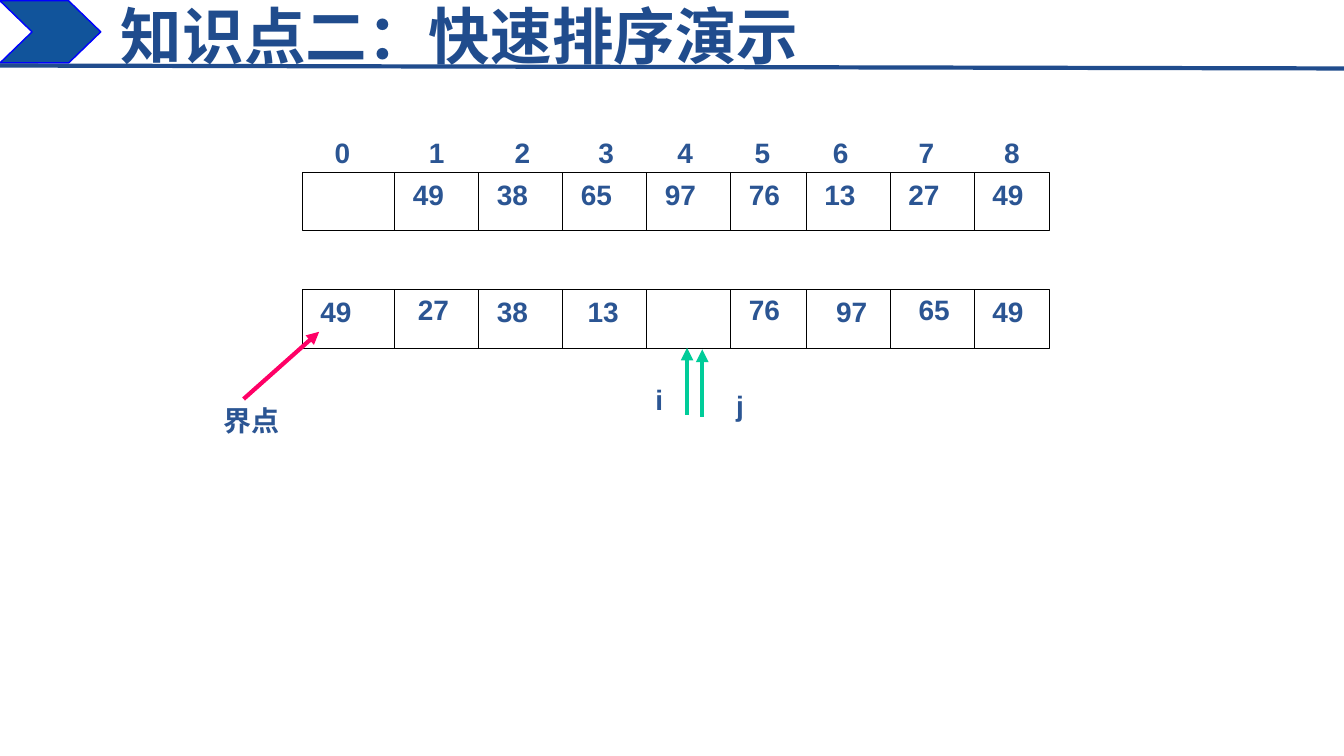
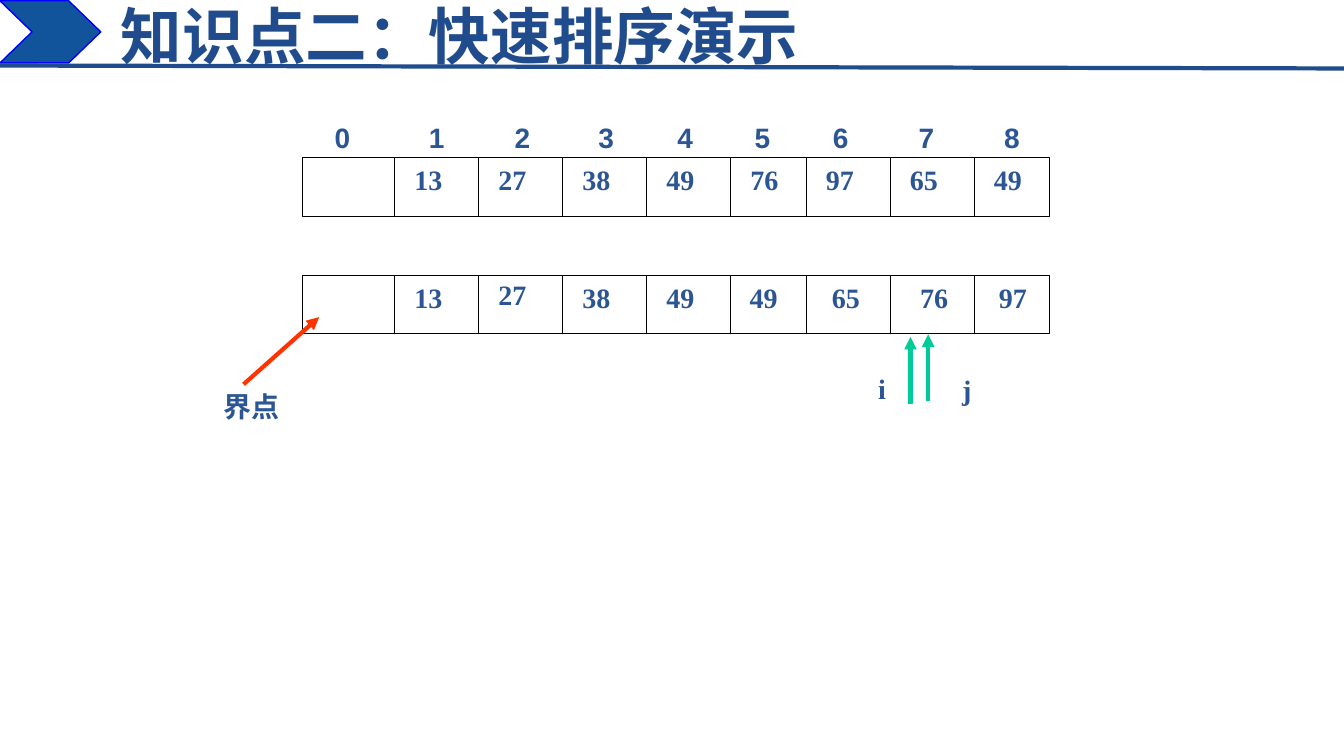
"""Build two slides that show the steps of a quicksort on an array."""
from lxml.etree import SubElement
from pptx import Presentation
from pptx.dml.color import RGBColor
from pptx.enum.shapes import MSO_CONNECTOR, MSO_SHAPE
from pptx.enum.text import MSO_ANCHOR, MSO_AUTO_SIZE, PP_ALIGN
from pptx.oxml.ns import qn
from pptx.util import Inches, Pt

TITLE_BLUE = RGBColor(0x20, 0x4C, 0x8D)
TEXT_BLUE = RGBColor(0x2B, 0x55, 0x93)
CHEVRON_BLUE = RGBColor(0x11, 0x54, 0x9B)
OUTLINE_BLUE = RGBColor(0x00, 0x00, 0xFF)
POINTER_GREEN = RGBColor(0x00, 0xCC, 0x99)
PIVOT_PINK = RGBColor(0xFF, 0x00, 0x66)
PIVOT_RED = RGBColor(0xFF, 0x33, 0x00)
BLACK = RGBColor(0x00, 0x00, 0x00)
WHITE = RGBColor(0xFF, 0xFF, 0xFF)

SANS, SERIF, CHINESE = "Arial", "Times New Roman", "Noto Sans CJK SC"
COLUMNS, ROWS = 160, 90
CELL_EDGES = [36, 47, 57, 67, 77, 87, 96, 106, 116, 125]
INDEX_CENTRES = [3.6, 14.8, 25, 35, 44.4, 53.6, 62.9, 73.1, 83.3]
CELL_HEIGHT, TEXT_HEIGHT = 7, 5.25
ARRAY_GAP = 14


def grid(count):
    """Turn grid units of a twelfth of an inch into a length."""
    return Inches(count / 12)


class ArrayDeck:
    """Holds the shared style and the current slide."""

    def __init__(self):
        """Start a widescreen presentation and place the layout title."""
        self.presentation = Presentation()
        self.presentation.slide_width = grid(COLUMNS)
        self.presentation.slide_height = grid(ROWS)
        self.layout = self.presentation.slide_layouts[5]
        self.place(self.layout.placeholders[0], 13.2, 0.7, 142.3, 6.85)
        self.slide = None

    def place(self, shape, left, top, width, height):
        """Move and size a shape in grid units."""
        shape.left, shape.top = grid(left), grid(top)
        shape.width, shape.height = grid(width), grid(height)

    def add_text(self, paragraph, text, font_name, size, color):
        """Add one bold run to a paragraph."""
        run = paragraph.add_run()
        run.text = text
        run.font.name = font_name
        run.font.size = Pt(size)
        run.font.bold = True
        run.font.color.rgb = color
        SubElement(run._r.get_or_add_rPr(), qn("a:ea"), typeface=CHINESE)

    def add_slide(self, title):
        """Add a slide with the chevron, the rule and the title."""
        self.slide = self.presentation.slides.add_slide(self.layout)
        chevron = self.box(MSO_SHAPE.CHEVRON, 0, 0.1, 12, 7.4,
                           CHEVRON_BLUE, OUTLINE_BLUE, 1)
        chevron.adjustments[0] = 0.516
        self.line(0, 7.8, COLUMNS, 8.15, TITLE_BLUE, 3)
        frame = self.slide.shapes.title.text_frame
        frame.auto_size = MSO_AUTO_SIZE.NONE
        frame.vertical_anchor = MSO_ANCHOR.MIDDLE
        paragraph = frame.paragraphs[0]
        paragraph.alignment = PP_ALIGN.LEFT
        self.add_text(paragraph, title, SERIF, 44, TITLE_BLUE)

    def box(self, kind, left, top, width, height, fill, outline, weight):
        """Add a filled and outlined preset shape."""
        shape = self.slide.shapes.add_shape(
            kind, grid(left), grid(top), grid(width), grid(height))
        shape.shadow.inherit = False
        shape.fill.solid()
        shape.fill.fore_color.rgb = fill
        shape.line.color.rgb = outline
        shape.line.width = Pt(weight)
        return shape

    def line(self, from_x, from_y, to_x, to_y, color, weight, arrow=False):
        """Add a straight line, with an arrowhead at its end if asked."""
        connector = self.slide.shapes.add_connector(
            MSO_CONNECTOR.STRAIGHT,
            grid(from_x), grid(from_y), grid(to_x), grid(to_y))
        connector.line.color.rgb = color
        connector.line.width = Pt(weight)
        properties = connector._element.spPr
        if arrow:
            SubElement(properties.find(qn("a:ln")), qn("a:tailEnd"),
                       type="triangle")
        SubElement(properties, qn("a:effectLst"))

    def label(self, text, left, top, width, font_name, tabs=()):
        """Add a one-line label, centred or set on centred tab stops."""
        shape = self.slide.shapes.add_textbox(
            grid(left), grid(top), grid(width), grid(TEXT_HEIGHT))
        frame = shape.text_frame
        frame.word_wrap = True
        frame.auto_size = MSO_AUTO_SIZE.SHAPE_TO_FIT_TEXT
        paragraph = frame.paragraphs[0]
        paragraph.alignment = PP_ALIGN.LEFT if tabs else PP_ALIGN.CENTER
        if tabs:
            properties = paragraph._p.get_or_add_pPr()
            stops = SubElement(properties, qn("a:tabLst"))
            for position in tabs:
                SubElement(stops, qn("a:tab"), pos=str(int(grid(position))),
                           algn="ctr")
        self.add_text(paragraph, text, font_name, 20, TEXT_BLUE)

    def indexes(self, top):
        """Number the cells above an array."""
        text = "".join(f"\t{index}" for index in range(len(INDEX_CENTRES)))
        self.label(text, CELL_EDGES[0], top - 5,
                   CELL_EDGES[-1] - CELL_EDGES[0], SANS, INDEX_CENTRES)

    def array(self, top, values, font_name, nudges):
        """Draw an array as a divided bar with a value in each filled cell."""
        first, *dividers, last = CELL_EDGES
        self.box(MSO_SHAPE.RECTANGLE, first, top, last - first, CELL_HEIGHT,
                 WHITE, BLACK, 0.75)
        for edge in dividers:
            self.line(edge, top, edge, top + CELL_HEIGHT, BLACK, 0.75)
        for index, value in enumerate(values):
            if value:
                across, down = nudges.get(index, (0, 0))
                self.label(value, CELL_EDGES[index] + across, top + down,
                           8, font_name)

    def pointer(self, name, column, tip, offset, drop, font_name):
        """Add an upward arrow with its variable name beside it."""
        self.line(column, tip + 8, column, tip, POINTER_GREEN, 3, True)
        self.label(name, column + offset, tip + drop, 11, font_name)

    def pivot(self, top, color, font_name):
        """Point the pivot label at cell zero of the lower array."""
        self.label("界点", 25, top + 13, 10, font_name)
        self.line(29, top + 13, 38, top + 5, color, 3, True)


STEPS = [
    {
        "top": 20.5, "font": SANS, "pivot": (PIVOT_PINK, CHINESE),
        "before": ["", "49", "38", "65", "97", "76", "13", "27", "49"],
        "after": ["49", "27", "38", "13", "", "76", "97", "65", "49"],
        "nudges": {1: (0.6, -0.25), 3: (0.8, 0), 5: (0, -0.25),
                   6: (1.4, 0), 7: (1.2, -0.25)},
        "pointers": [("i", 81.8, 41.4, -8.8, 3.6),
                     ("j", 83.6, 41.6, -1, 4)],
    },
    {
        "top": 18.75, "font": SERIF, "pivot": (PIVOT_RED, SERIF),
        "before": ["", "13", "27", "38", "49", "76", "97", "65", "49"],
        "after": ["", "13", "27", "38", "49", "49", "65", "76", "97"],
        "nudges": {2: (0, -0.25), 5: (-0.1, 0), 6: (0.7, 0),
                   7: (1.2, 0), 8: (0.6, 0)},
        "pointers": [("i", 108.4, 40.1, -8.9, 3.5),
                     ("j", 110.5, 39.8, -0.9, 4)],
    },
]


def main():
    """Build and save the presentation."""
    deck = ArrayDeck()
    for step in STEPS:
        top, font_name = step["top"], step["font"]
        lower_top = top + ARRAY_GAP
        deck.add_slide("知识点二：快速排序演示")
        deck.indexes(top)
        deck.array(top, step["before"], font_name, {})
        deck.array(lower_top, step["after"], font_name, step["nudges"])
        for pointer in step["pointers"]:
            deck.pointer(*pointer, font_name)
        deck.pivot(lower_top, *step["pivot"])
    deck.presentation.save("out.pptx")


if __name__ == "__main__":
    main()
